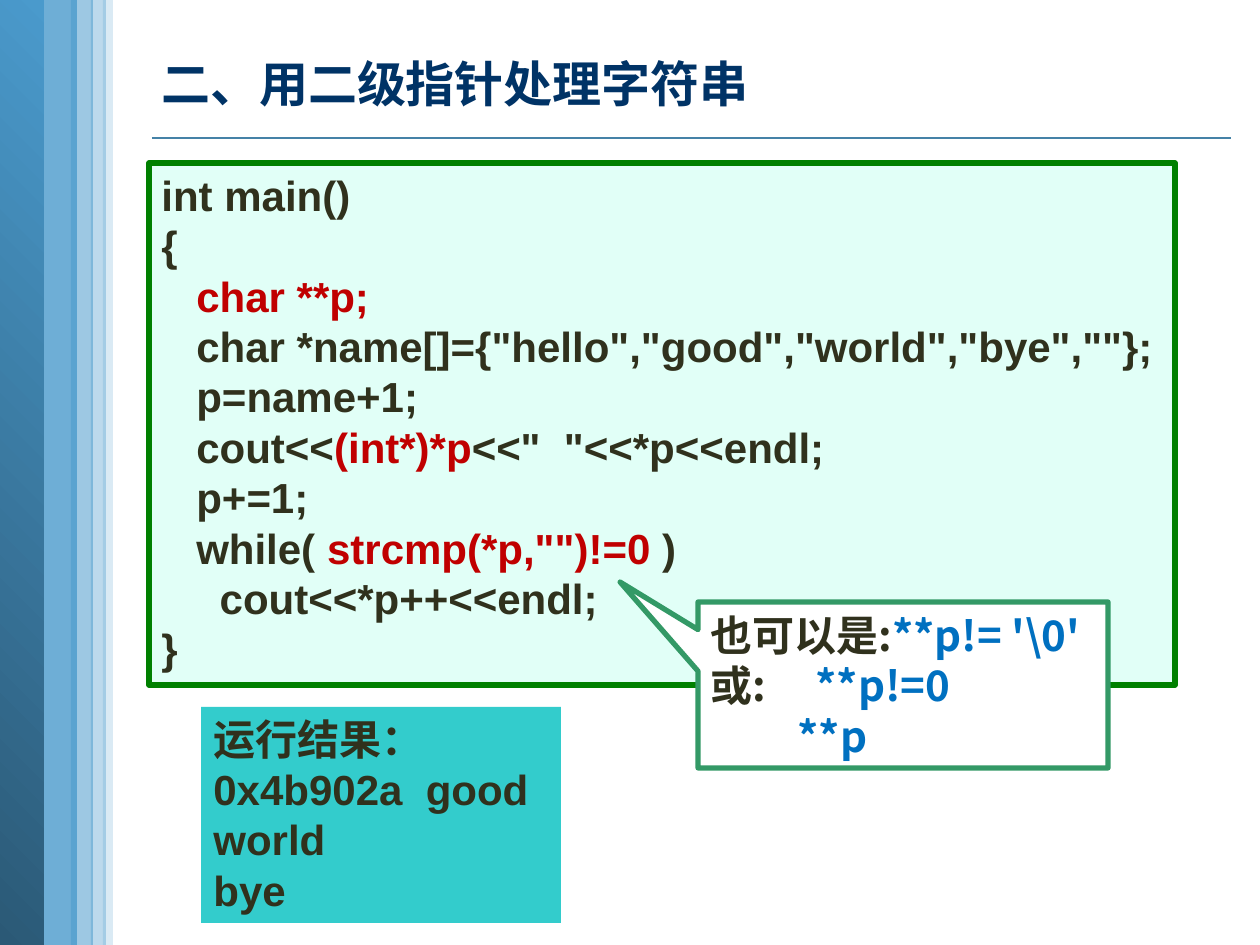
from lxml.etree import SubElement as Sub
from pptx import Presentation
from pptx.dml.color import RGBColor
from pptx.enum.shapes import MSO_CONNECTOR as Line, MSO_SHAPE as Kind
from pptx.enum.text import MSO_ANCHOR as Anchor, MSO_AUTO_SIZE as Fit, PP_ALIGN as Align
from pptx.oxml.ns import qn
from pptx.util import Pt

SCALE = 914400 / 126
CJK = "Noto Sans CJK SC"
DARK = "30311D"
SKY = "4A9ACC"

CODE = [
    "int main()",
    "{",
    "|   char **p;",
    '   char *name[]={"hello","good","world","bye",""};',
    "   p=name+1;",
    '   cout<<|(int*)*p|<<"  "<<*p<<endl;',
    "   p+=1;",
    '   while( |strcmp(*p,"")!=0 |)',
    "     cout<<*p++<<endl;",
    "}",
]
RESULT = ["运行结果：", "0x4b902a  good", "world", "bye"]
HINT = ["也可以是:|**p!= '\\0'", "或:|\t**p!=0", "|**p"]
BANDS = [(38, 39, 80), (103, 10, 20), (71, 22, 54), (91, 15, 37)]


def px(num):
    return round(num * SCALE)


def color(code):
    return RGBColor.from_string(code)


def box(slide, x, y, w, h, fill, edge=None, kind=Kind.RECTANGLE):
    shape = slide.shapes.add_shape(kind, px(x), px(y), px(w), px(h))
    shape.shadow.inherit = False
    shape.fill.solid()
    shape.fill.fore_color.rgb = color(fill)
    if edge:
        shape.line.color.rgb = color(edge)
        shape.line.width = Pt(3)
    else:
        shape.line.fill.background()
    return shape


def write(shape, lines, font="Arial", size=24, ink=DARK, accent=DARK,
          anchor=Anchor.TOP, wrap=True, fit=Fit.SHAPE_TO_FIT_TEXT):
    frame = shape.text_frame
    frame.word_wrap = wrap
    frame.auto_size = fit
    frame.vertical_anchor = anchor
    for i, line in enumerate(lines):
        para = frame.paragraphs[0] if i == 0 else frame.add_paragraph()
        para.alignment = Align.LEFT
        for j, part in enumerate(line.split("|")):
            if not part:
                continue
            run = para.add_run()
            run.text = part
            run.font.name = font
            run.font.size = Pt(size)
            run.font.bold = True
            run.font.color.rgb = color(accent if j % 2 else ink)
            Sub(run.font._element, qn("a:ea"), typeface=CJK)
    return frame.paragraphs


def band(slide, x, w, alpha):
    shape = box(slide, x, 0, w, 945, SKY)
    tint = shape.fill._xPr.find(qn("a:solidFill"))[0]
    Sub(tint, qn("a:alpha"), val=str(alpha * 1000))


def fade(slide):
    shape = box(slide, -1, 0, 45, 945, SKY)
    shape.fill.gradient()
    shape.fill.gradient_angle = 45
    for stop, code in zip(shape.fill.gradient_stops, ("2B5976", SKY)):
        stop.color.rgb = color(code)


def rule(slide, x, y, end):
    line = slide.shapes.add_connector(Line.STRAIGHT, px(x), px(y), px(end), px(y))
    line.line.color.rgb = color("4582A7")
    line.line.width = Pt(1)
    Sub(line._element.spPr, qn("a:effectLst"))


def hint(slide):
    shape = box(slide, 698, 602, 410, 166, "FFFFFF", "339966",
                Kind.RECTANGULAR_CALLOUT)
    shape.adjustments[0] = -0.69
    shape.adjustments[1] = -0.62
    paras = write(shape, HINT, font=CJK, accent="0070C0", anchor=Anchor.MIDDLE)
    tabs = Sub(paras[1]._p.get_or_add_pPr(), qn("a:tabLst"))
    Sub(tabs, qn("a:tab"), pos=str(px(105)), algn="l")
    paras[2]._p.get_or_add_pPr().set("marL", str(px(87)))


def main():
    deck = Presentation()
    deck.slide_width, deck.slide_height = px(1260), px(945)
    slide = deck.slides.add_slide(deck.slide_layouts[6])

    rule(slide, 152, 138, 1231)
    band(slide, *BANDS[0])
    fade(slide)
    for item in BANDS[1:]:
        band(slide, *item)

    code = box(slide, 149, 163, 1026, 522, "E1FFF7", "008000")
    write(code, CODE, accent="C00000", wrap=False)
    result = box(slide, 201, 707, 360, 216, "33CCCC")
    write(result, RESULT)
    title = slide.shapes.add_textbox(px(149), px(36), px(980), px(94))
    write(title, ["二、用二级指针处理字符串"], font=CJK, size=28, ink="003366",
          anchor=Anchor.MIDDLE, fit=Fit.NONE)
    hint(slide)

    deck.save("out.pptx")


if __name__ == "__main__":
    main()
